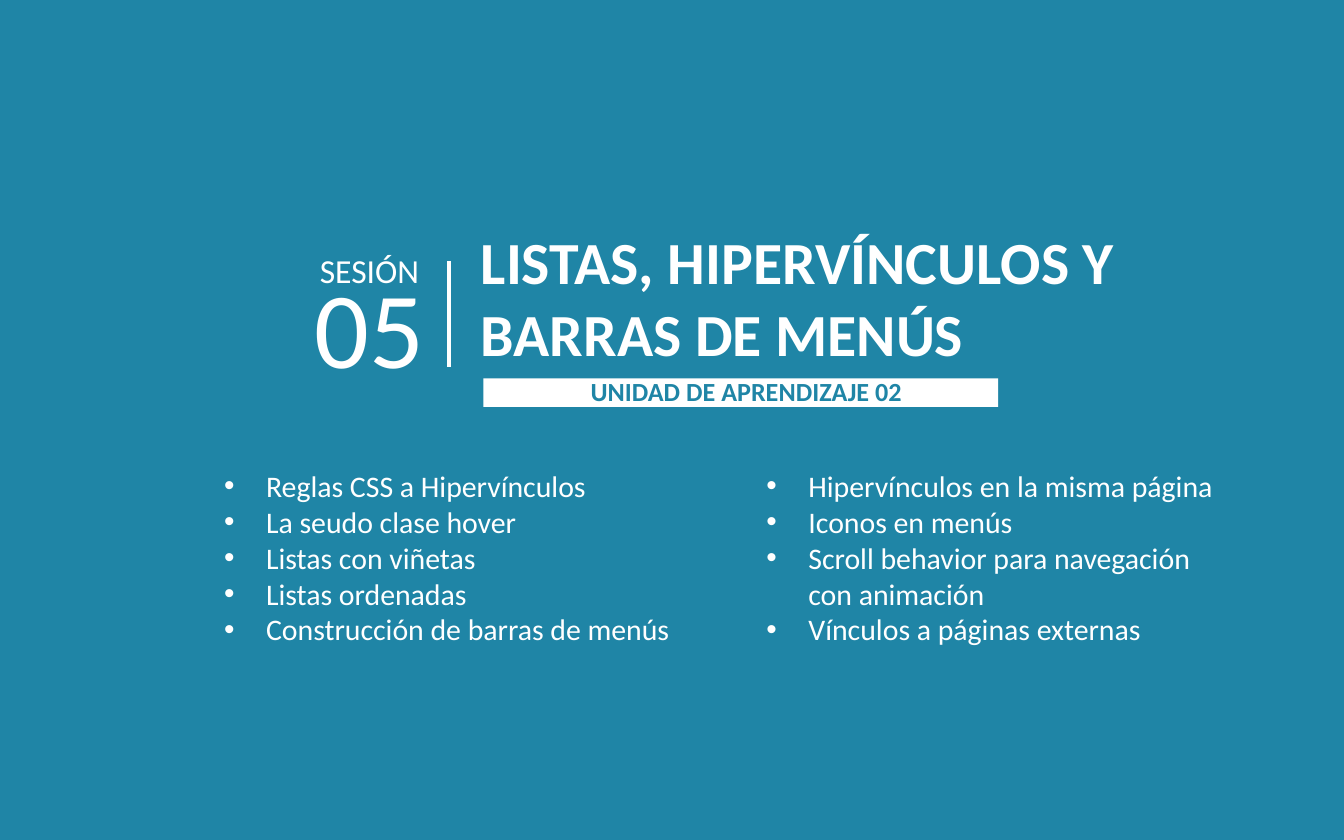
from lxml import etree
from pptx import Presentation
from pptx.dml.color import RGBColor
from pptx.enum.shapes import MSO_CONNECTOR, MSO_SHAPE
from pptx.enum.text import MSO_ANCHOR, PP_ALIGN
from pptx.oxml.ns import qn
from pptx.util import Pt

RECTANGLE = MSO_SHAPE.RECTANGLE
STRAIGHT = MSO_CONNECTOR.STRAIGHT
CENTER = PP_ALIGN.CENTER
MIDDLE = MSO_ANCHOR.MIDDLE

TEAL = RGBColor(0x1F, 0x85, 0xA6)
WHITE = RGBColor(0xFF, 0xFF, 0xFF)
FONT = "Calibri"
SLIDE_WIDTH, SLIDE_HEIGHT = Pt(720), Pt(450)
TOPIC_INDENT = Pt(22.5)
TOPIC_TOP, TOPIC_WIDTH, TOPIC_HEIGHT = Pt(247), Pt(263), Pt(104.5)

TOPIC_COLUMNS = [
    (Pt(113), [
        "Reglas CSS a Hipervínculos",
        "La seudo clase hover",
        "Listas con viñetas",
        "Listas ordenadas",
        "Construcción de barras de menús",
    ]),
    (Pt(403.5), [
        "Hipervínculos en la misma página",
        "Iconos en menús",
        "Scroll behavior para navegación con animación",
        "Vínculos a páginas externas",
    ]),
]


def format_runs(text_frame, size, color, bold=False):
    for paragraph in text_frame.paragraphs:
        for run in paragraph.runs:
            run.font.name = FONT
            run.font.size = size
            run.font.bold = bold
            run.font.color.rgb = color


def add_text(slide, text, left, top, width, height, size, bold=False):
    text_frame = slide.shapes.add_textbox(left, top, width, height).text_frame
    text_frame.word_wrap = True
    text_frame.text = text
    format_runs(text_frame, size, WHITE, bold)
    return text_frame


def add_bullet(paragraph):
    properties = paragraph._p.get_or_add_pPr()
    properties.set("marL", str(TOPIC_INDENT))
    properties.set("indent", str(-TOPIC_INDENT))
    bullet_color = etree.SubElement(properties, qn("a:buClr"))
    etree.SubElement(bullet_color, qn("a:srgbClr"), val=str(WHITE))
    etree.SubElement(properties, qn("a:buFont"), typeface="Arial")
    etree.SubElement(properties, qn("a:buChar"), char="•")


def add_topics(slide, topics, left):
    text_frame = add_text(slide, "\n".join(topics), left, TOPIC_TOP,
                          TOPIC_WIDTH, TOPIC_HEIGHT, Pt(16))
    for paragraph in text_frame.paragraphs:
        add_bullet(paragraph)


def add_panel(slide, left, top, width, height, color):
    panel = slide.shapes.add_shape(RECTANGLE, left, top, width, height)
    panel.shadow.inherit = False
    panel.fill.solid()
    panel.fill.fore_color.rgb = color
    panel.line.fill.background()
    return panel


def add_unit_label(slide, text):
    label = add_panel(slide, Pt(259), Pt(202.75), Pt(275.75), Pt(15.25), WHITE)
    text_frame = label.text_frame
    text_frame.margin_left = Pt(6)
    text_frame.margin_right = text_frame.margin_top = text_frame.margin_bottom = 0
    text_frame.vertical_anchor = MIDDLE
    text_frame.text = text
    text_frame.paragraphs[0].alignment = CENTER
    text_frame.paragraphs[0].line_spacing = 0.9
    format_runs(text_frame, Pt(14), TEAL, bold=True)


def add_divider(slide, x, top, bottom):
    divider = slide.shapes.add_connector(STRAIGHT, x, top, x, bottom)
    divider.line.color.rgb = WHITE
    divider.line.width = Pt(2)
    etree.SubElement(divider._element.spPr, qn("a:effectLst"))


def main():
    presentation = Presentation()
    presentation.slide_width = SLIDE_WIDTH
    presentation.slide_height = SLIDE_HEIGHT
    slide = presentation.slides.add_slide(presentation.slide_layouts[6])

    add_panel(slide, 0, 0, SLIDE_WIDTH, SLIDE_HEIGHT, TEAL)
    add_text(slide, "SESIÓN", Pt(164.25), Pt(130.5), Pt(68.5), Pt(29), Pt(18))
    add_text(slide, "05", Pt(161.25), Pt(136), Pt(75.5), Pt(80), Pt(58))
    add_text(slide, "LISTAS, HIPERVÍNCULOS Y BARRAS DE MENÚS",
             Pt(250.5), Pt(116.75), Pt(362), Pt(85), Pt(32), bold=True)
    add_divider(slide, Pt(240.5), Pt(139.75), Pt(196.5))
    add_unit_label(slide, "UNIDAD DE APRENDIZAJE 02")
    for left, topics in TOPIC_COLUMNS:
        add_topics(slide, topics, left)

    presentation.save("out.pptx")


if __name__ == "__main__":
    main()
